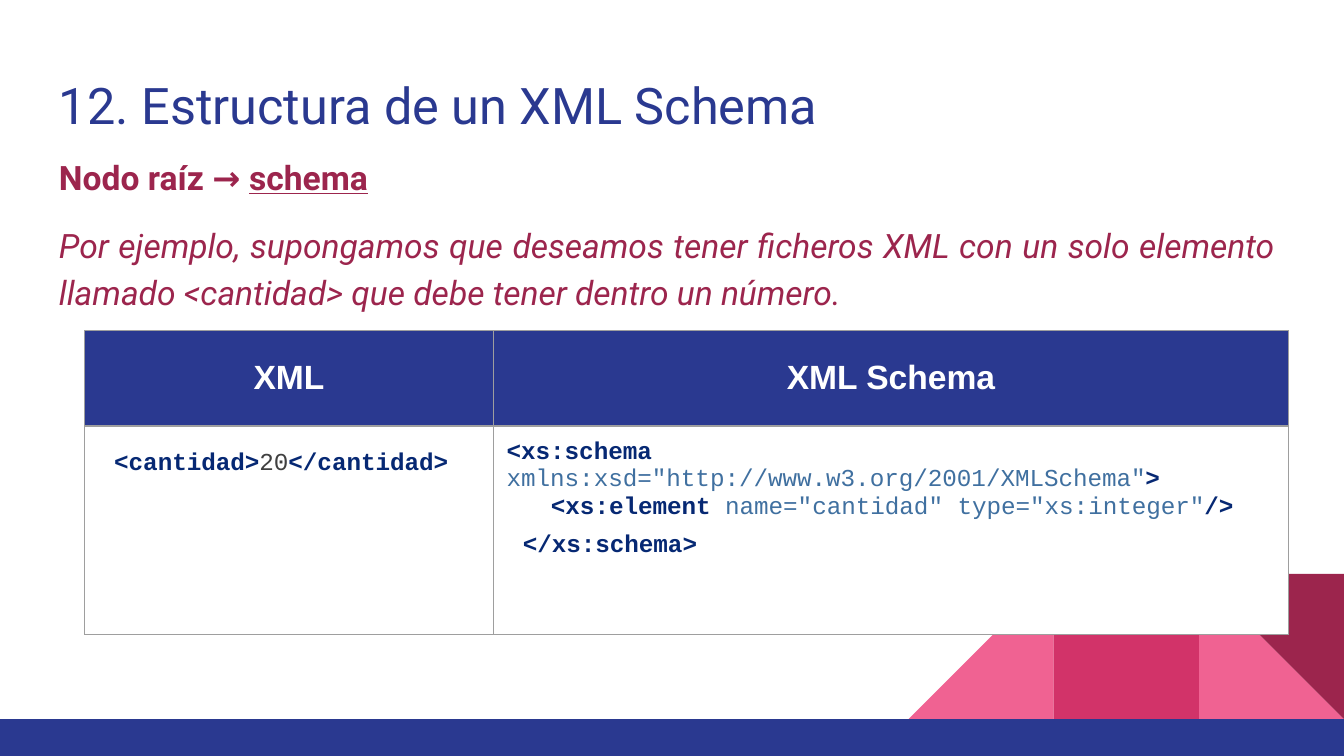
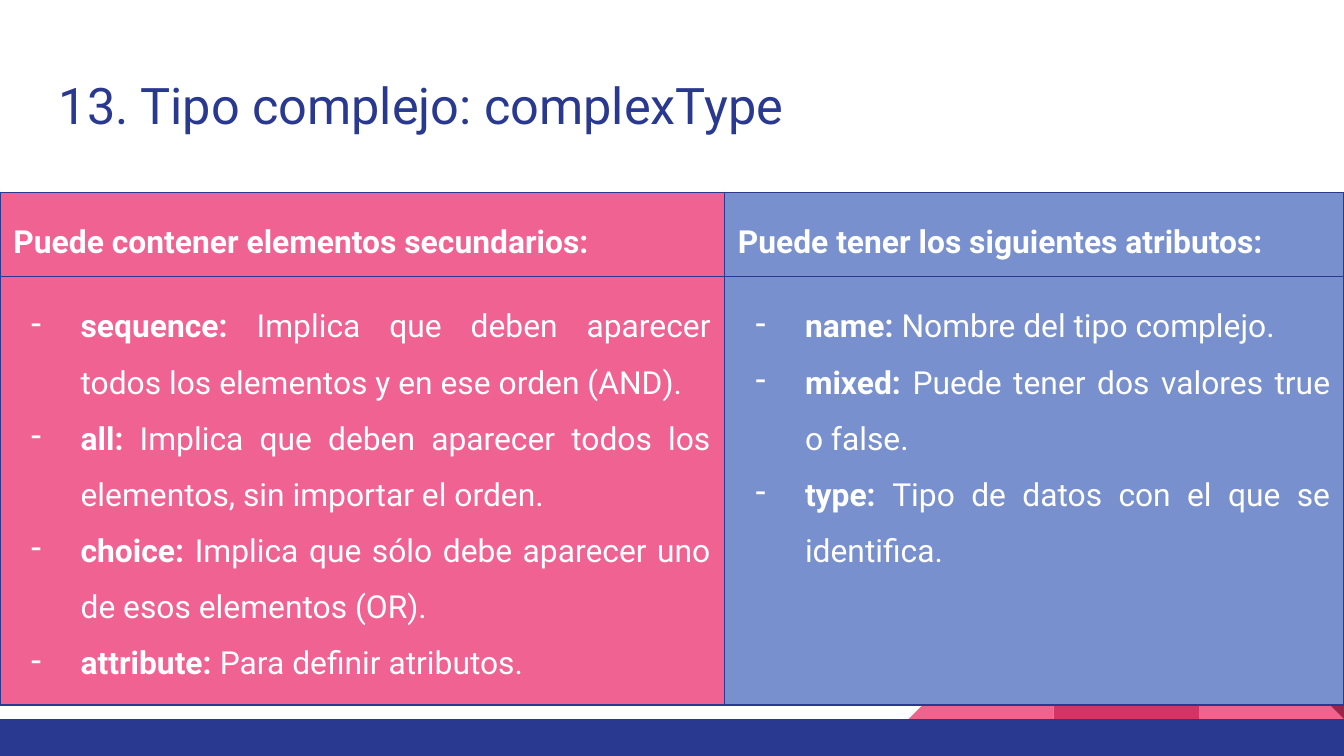
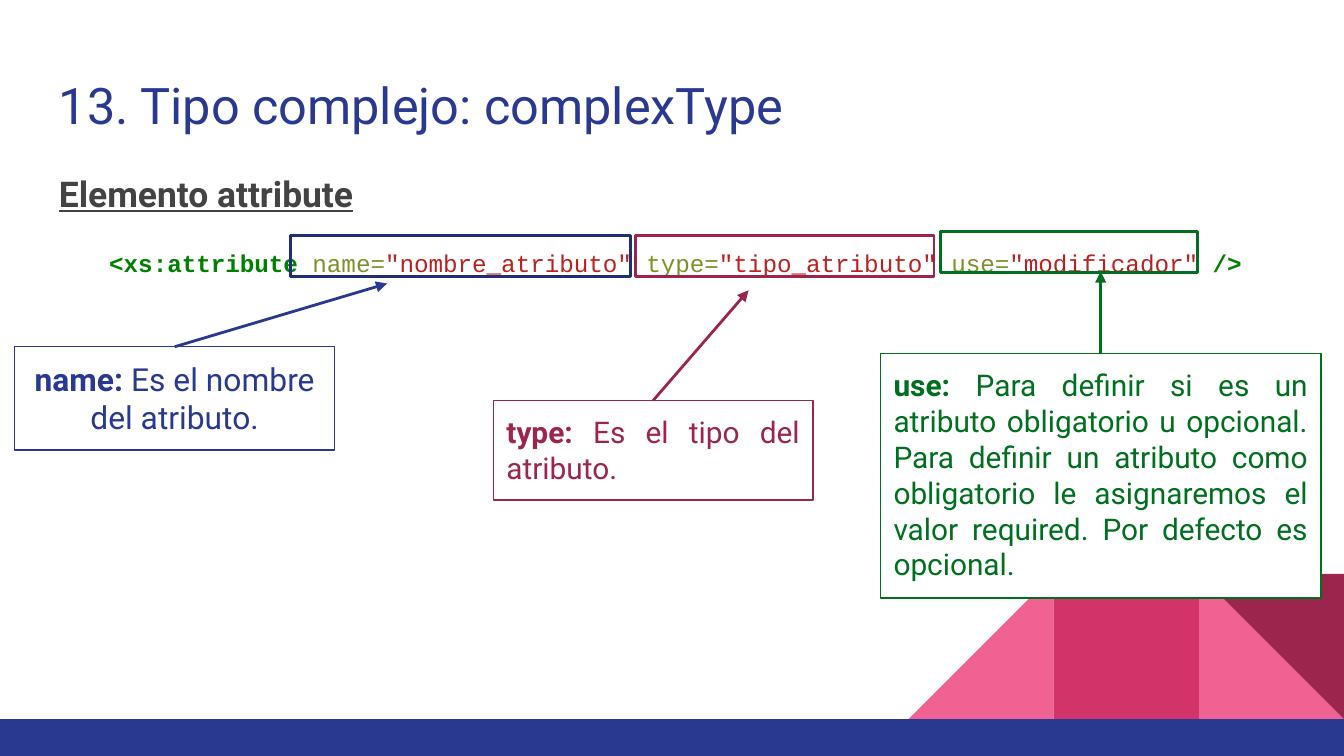
from dataclasses import dataclass
from lxml.etree import SubElement
from pptx import Presentation
from pptx.dml.color import RGBColor
from pptx.enum.shapes import MSO_CONNECTOR, MSO_SHAPE
from pptx.enum.text import MSO_ANCHOR, PP_ALIGN
from pptx.oxml import parse_xml
from pptx.oxml.ns import nsdecls, qn
from pptx.util import Inches, Pt


@dataclass(frozen=True)
class Theme:
    wide: float = 10
    high: float = 5.625
    side: float = 1.08
    foot: float = 5.35
    left: float = 0.34
    pad: float = 0.1
    sans: str = "Roboto"
    head: str = "Arial"
    mono: str = "Courier New"
    title: int = 27
    lead: int = 19
    body: int = 18
    note: int = 17
    small: int = 16
    code: int = 13
    white: str = "FFFFFF"
    navy: str = "2A3990"
    dark: str = "212D74"
    blue: str = "7890CD"
    pink: str = "F06292"
    rose: str = "D23369"
    wine: str = "9C254D"
    green: str = "007020"
    gray: str = "434343"
    rule: str = "9E9E9E"


T = Theme()
TONES = {
    "plain": (None, ""),
    "bold": (None, "b"),
    "under": (None, "bu"),
    "ital": (None, "i"),
    "tag": ("062873", "b"),
    "attr": ("4070A0", ""),
    "num": ("404040", ""),
    "mark": ("008000", "b"),
    "key": ("7D9029", ""),
    "val": ("BA2121", ""),
}
ALIGN = {"l": PP_ALIGN.LEFT, "c": PP_ALIGN.CENTER, "j": PP_ALIGN.JUSTIFY}


@dataclass
class Para:
    runs: list
    size: int
    tint: str = T.white
    font: str = T.sans
    align: str = "j"
    line: float = 1.0
    above: int = 0
    below: int = 0
    indent: float = 0
    hang: float = 0
    bullet: str = ""


def code(*runs, **opts):
    return Para(runs, T.code, TONES["tag"][0], T.mono, **opts)


def item(term, text):
    return Para([(term + ": ", "bold"), (text, "plain")], T.note, line=1.5,
                indent=0.5, hang=-0.37, bullet="-")


def label(text):
    return Para([(text, "bold")], T.body, font=T.head, align="c")


def topic(text):
    return Para([(text, "bold")], T.note, line=1.5, below=12)


ROOT = {
    "title": "12. Estructura de un XML Schema",
    "body": [
        Para([("Nodo raíz → ", "bold"), ("schema", "under")],
             T.body, T.wine, line=1.15),
        Para([("Por ejemplo, supongamos que deseamos tener ficheros XML con un "
               "solo elemento llamado <cantidad> que debe tener dentro un número.",
               "ital")], T.body, T.wine, line=1.15, above=12, below=12),
    ],
    "at": (0.63, 2.46),
    "cols": (3.04, 5.92),
    "rows": (0.71, 1.55),
    "fills": ((T.navy, T.navy), (T.white, T.white)),
    "cells": [
        [[label("XML")], [label("XML Schema")]],
        [
            [code(("<cantidad>", "tag"), ("20", "num"), ("</cantidad>", "tag"),
                  line=1.4, indent=0.12)],
            [
                code(("<xs:schema ", "tag"),
                     ('xmlns:xsd="http://www.w3.org/2001/XMLSchema"', "attr"),
                     (">", "tag")),
                code(("<xs:element ", "tag"),
                     ('name="cantidad" type="xs:integer"', "attr"),
                     ("/>", "tag"), indent=0.33),
                code(("</xs:schema>", "tag"), line=1.4, indent=0.12),
            ],
        ],
    ],
}

PARTS = {
    "title": "13. Tipo complejo: complexType",
    "at": (0, 1.43),
    "cols": (5.39, 4.61),
    "rows": (0.47, 3.19),
    "fills": ((T.pink, T.blue), (T.pink, T.blue)),
    "cells": [
        [[topic("Puede contener elementos secundarios:")],
         [topic("Puede tener los siguientes atributos:")]],
        [
            [
                item("sequence", "Implica que deben aparecer todos los elementos "
                                 "y en ese orden (AND)."),
                item("all", "Implica que deben aparecer todos los elementos, "
                            "sin importar el orden."),
                item("choice", "Implica que sólo debe aparecer uno de esos "
                               "elementos (OR)."),
                item("attribute", "Para definir atributos."),
            ],
            [
                item("name", "Nombre del tipo complejo."),
                item("mixed", "Puede tener dos valores true o false."),
                item("type", "Tipo de datos con el que se identifica."),
            ],
        ],
    ],
}

SYNTAX = [
    Para([("Elemento attribute", "under")], T.lead, T.gray, line=1.5),
    code(("<xs:attribute ", "mark"),
         ("name=", "key"), ('"nombre_atributo" ', "val"),
         ("type=", "key"), ('"tipo_atributo" ', "val"),
         ("use=", "key"), ('"modificador" ', "val"), ("/>", "mark"),
         align="c", line=1.4, above=12, indent=0.12),
]
NOTES = [
    {"term": "use: ", "text": "Para definir si es un atributo obligatorio u "
     "opcional. Para definir un atributo como obligatorio le asignaremos el "
     "valor required. Por defecto es opcional.",
     "box": (6.55, 2.63, 3.28, 1.82), "tip": (8.19, 2.02), "fill": T.white,
     "tint": T.green, "size": T.small, "align": "j"},
    {"term": "name: ", "text": "Es el nombre del atributo.",
     "box": (0.11, 2.58, 2.38, 0.77), "tip": (2.88, 2.11), "fill": None,
     "tint": T.navy, "size": T.note, "align": "c"},
    {"term": "type: ", "text": "Es el tipo del atributo.",
     "box": (3.67, 2.98, 2.38, 0.74), "tip": (5.57, 2.16), "fill": None,
     "tint": T.wine, "size": T.small, "align": "j"},
]
FRAMES = [
    ((2.16, 1.75, 2.53, 0.31), T.dark),
    ((4.73, 1.75, 2.22, 0.31), T.wine),
    ((7, 1.72, 1.91, 0.31), T.green),
]


def rgb(tint):
    return RGBColor.from_string(tint)


def inch(*nums):
    return [Inches(n) for n in nums]


def write(frame, paras):
    frame.word_wrap = True
    (frame.margin_left, frame.margin_top,
     frame.margin_right, frame.margin_bottom) = inch(*[T.pad] * 4)
    for n, spec in enumerate(paras):
        para = frame.add_paragraph() if n else frame.paragraphs[0]
        para.alignment = ALIGN[spec.align]
        para.line_spacing = spec.line
        para.space_before, para.space_after = Pt(spec.above), Pt(spec.below)
        props = para._p.get_or_add_pPr()
        props.set("marL", str(Inches(spec.indent)))
        props.set("indent", str(Inches(spec.hang)))
        if spec.bullet:
            SubElement(SubElement(props, qn("a:buClr")),
                       qn("a:srgbClr")).set("val", spec.tint)
            SubElement(props, qn("a:buChar")).set("char", spec.bullet)
        para.font.name, para.font.size = spec.font, Pt(spec.size)
        para.font.color.rgb = rgb(spec.tint)
        for text, tone in spec.runs:
            tint, marks = TONES[tone]
            run = para.add_run()
            run.text = text
            run.font.bold = "b" in marks
            run.font.italic = "i" in marks
            run.font.underline = "u" in marks
            if tint:
                run.font.color.rgb = rgb(tint)


def draw(slide, box, fill=None, line=None, width=0.75,
         kind=MSO_SHAPE.RECTANGLE, turn=0):
    shape = slide.shapes.add_shape(kind, *inch(*box))
    shape.shadow.inherit = False
    shape.rotation = turn
    if fill:
        shape.fill.solid()
        shape.fill.fore_color.rgb = rgb(fill)
    else:
        shape.fill.background()
    if line:
        shape.line.color.rgb = rgb(line)
        shape.line.width = Pt(width)
    else:
        shape.line.fill.background()
    return shape


def prose(slide, box, paras):
    write(slide.shapes.add_textbox(*inch(*box)).text_frame, paras)


def start(deck, title):
    slide = deck.slides.add_slide(deck.slide_layouts[6])
    tri, rect = MSO_SHAPE.RIGHT_TRIANGLE, MSO_SHAPE.RECTANGLE
    for col, kind, turn, fill in [(1, tri, 0, T.pink), (3, tri, 270, T.pink),
                                  (2, rect, 0, T.rose), (1, tri, 180, T.wine)]:
        draw(slide, (T.wide - col * T.side, T.foot - T.side, T.side, T.side),
             fill, kind=kind, turn=turn)
    draw(slide, (0, T.foot, T.wide, T.high - T.foot), T.navy)
    prose(slide, (T.left, 0.45, T.wide - 2 * T.left, 0.66),
          [Para([(title, "plain")], T.title, T.navy, align="l")])
    return slide


def edge(cell, tint):
    props = cell._tc.get_or_add_tcPr()
    for n, side in enumerate("LRTB"):
        props.insert(n, parse_xml(
            f'<a:ln{side} {nsdecls("a")} w="{Pt(0.75)}"><a:solidFill>'
            f'<a:srgbClr val="{tint}"/></a:solidFill></a:ln{side}>'))


def grid(slide, data, rule, anchor):
    cols, rows = data["cols"], data["rows"]
    table = slide.shapes.add_table(
        len(rows), len(cols), *inch(*data["at"], sum(cols), sum(rows))).table
    for col, width in zip(table.columns, cols):
        col.width = Inches(width)
    for r, high in enumerate(rows):
        table.rows[r].height = Inches(high)
        for c, paras in enumerate(data["cells"][r]):
            cell = table.cell(r, c)
            cell.fill.solid()
            cell.fill.fore_color.rgb = rgb(data["fills"][r][c])
            cell.vertical_anchor = MSO_ANCHOR.TOP if r else anchor
            (cell.margin_left, cell.margin_top,
             cell.margin_right, cell.margin_bottom) = inch(*[T.pad] * 4)
            write(cell.text_frame, paras)
            edge(cell, rule)


def arrow(slide, tail, tip, tint):
    line = slide.shapes.add_connector(MSO_CONNECTOR.STRAIGHT, *inch(*tail, *tip))
    line.line.color.rgb = rgb(tint)
    line.line.width = Pt(1.5)
    SubElement(line.line._get_or_add_ln(), qn("a:tailEnd")).set("type", "triangle")
    SubElement(line._element.spPr, qn("a:effectLst"))


def root(deck):
    slide = start(deck, ROOT["title"])
    area = draw(slide, (T.left, 1.02, 9.25, 1.37), T.white)
    area.text_frame.vertical_anchor = MSO_ANCHOR.TOP
    write(area.text_frame, ROOT["body"])
    grid(slide, ROOT, T.rule, MSO_ANCHOR.MIDDLE)


def parts(deck):
    slide = start(deck, PARTS["title"])
    grid(slide, PARTS, T.navy, MSO_ANCHOR.TOP)


def usage(deck):
    slide = start(deck, PARTS["title"])
    prose(slide, (T.left, 1.02, 9.25, 1.48), SYNTAX)
    for note in NOTES:
        x, y, w, _ = note["box"]
        shape = draw(slide, note["box"], note["fill"], note["tint"])
        shape.text_frame.vertical_anchor = MSO_ANCHOR.TOP
        write(shape.text_frame, [
            Para([(note["term"], "bold"), (note["text"], "plain")],
                 note["size"], note["tint"], align=note["align"])])
        arrow(slide, (x + w / 2, y), note["tip"], note["tint"])
    for box, tint in FRAMES:
        draw(slide, box, line=tint, width=1.5)


def main():
    deck = Presentation()
    deck.slide_width, deck.slide_height = inch(T.wide, T.high)
    for build in (root, parts, usage):
        build(deck)
    deck.save("out.pptx")


if __name__ == "__main__":
    main()
